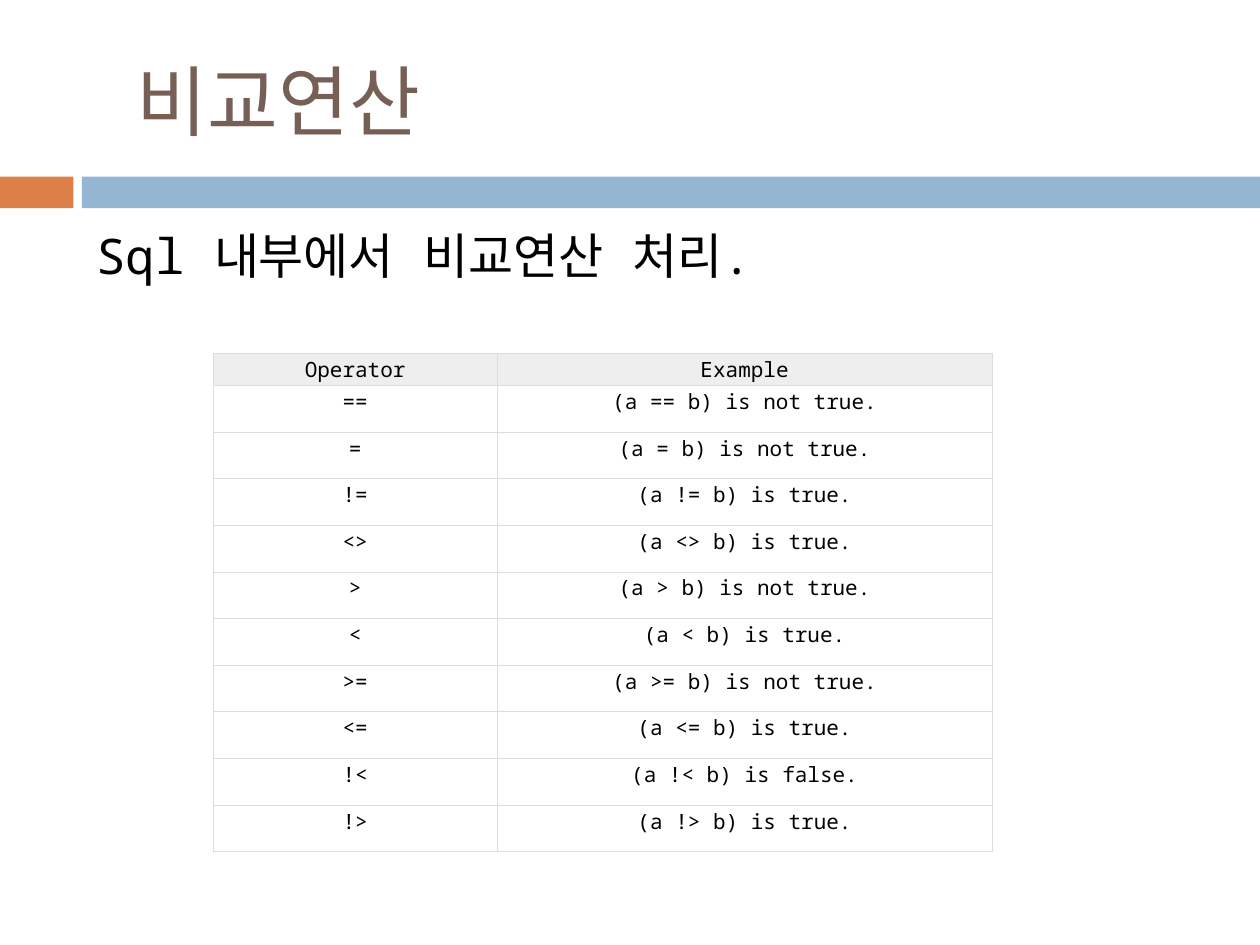
from lxml.etree import SubElement
from pptx import Presentation
from pptx.dml.color import RGBColor
from pptx.enum.shapes import MSO_SHAPE
from pptx.enum.text import MSO_ANCHOR, PP_ALIGN
from pptx.oxml.ns import qn
from pptx.util import Cm, Pt

FONT = "Noto Sans Mono"
ORANGE = RGBColor(0xDD, 0x80, 0x47)
BLUE = RGBColor(0x94, 0xB6, 0xD2)
BROWN = RGBColor(0x77, 0x5F, 0x55)
BLACK = RGBColor(0, 0, 0)
HEADER_GREY = RGBColor(0xEE, 0xEE, 0xEE)
BORDER_GREY = RGBColor(0xDD, 0xDD, 0xDD)

COMPARISONS = [
    ("==", "not true"),
    ("=", "not true"),
    ("!=", "true"),
    ("<>", "true"),
    (">", "not true"),
    ("<", "true"),
    (">=", "not true"),
    ("<=", "true"),
    ("!<", "false"),
    ("!>", "true"),
]


def set_formats(target, formats):
    for name, value in formats.items():
        setattr(target, name, value)


def write_text(frame, text, size, color, align=PP_ALIGN.LEFT):
    paragraph = frame.paragraphs[0]
    paragraph.alignment = align
    run = paragraph.add_run()
    run.text = text
    set_formats(run.font, {"name": FONT, "size": Pt(size)})
    run.font.color.rgb = color
    # Hangul takes its typeface from the East Asian font slot
    SubElement(run.font._element, qn("a:ea"), typeface=FONT)


def add_band(slide, left, width, color):
    band = slide.shapes.add_shape(
        MSO_SHAPE.RECTANGLE, Cm(left), Cm(3.56), Cm(width), Cm(0.64))
    band.shadow.inherit = False
    band.fill.solid()
    band.fill.fore_color.rgb = color
    band.line.fill.background()


def add_text(slide, place, text, size, color, formats):
    box = slide.shapes.add_textbox(*(Cm(length) for length in place))
    set_formats(box.text_frame, {"word_wrap": True, **formats})
    write_text(box.text_frame, text, size, color)


def add_borders(cell):
    properties = cell._tc.get_or_add_tcPr()
    for position, side in enumerate(("lnL", "lnR", "lnT", "lnB")):
        line = properties.makeelement(qn(f"a:{side}"), {"w": str(Pt(0.6))})
        fill = SubElement(line, qn("a:solidFill"))
        SubElement(fill, qn("a:srgbClr"), val=str(BORDER_GREY))
        properties.insert(position, line)


def fill_cell(cell, text, is_header):
    margins = ("margin_left", "margin_right", "margin_top", "margin_bottom")
    set_formats(cell, dict.fromkeys(margins, Cm(0.03)))
    write_text(cell.text_frame, text, 12, BLACK, PP_ALIGN.CENTER)
    if is_header:
        cell.fill.solid()
        cell.fill.fore_color.rgb = HEADER_GREY
    else:
        cell.fill.background()
    add_borders(cell)


def add_operator_table(slide):
    rows = [("Operator", "Example")]
    rows += [(sign, f"(a {sign} b) is {result}.") for sign, result in COMPARISONS]
    table = slide.shapes.add_table(
        len(rows), 2, Cm(4.3), Cm(7.12), Cm(15.7), Cm(10.05)).table
    set_formats(table, {"first_row": False, "horz_banding": False})
    for column, width in zip(table.columns, (5.72, 9.98)):
        column.width = Cm(width)
    for row_index, texts in enumerate(rows):
        is_header = row_index == 0
        table.rows[row_index].height = Cm(0.65 if is_header else 0.94)
        for column_index, text in enumerate(texts):
            fill_cell(table.cell(row_index, column_index), text, is_header)


def main():
    deck = Presentation()
    set_formats(deck, {"slide_width": Cm(25.4), "slide_height": Cm(19.05)})
    slide = deck.slides.add_slide(deck.slide_layouts[6])
    add_band(slide, 0, 1.48, ORANGE)
    add_band(slide, 1.65, 23.75, BLUE)
    add_text(slide, (1.7, 0.64, 22.66, 2.74), "비교연산", 44, BROWN,
             {"vertical_anchor": MSO_ANCHOR.MIDDLE, "margin_left": Cm(1.05)})
    add_text(slide, (1.7, 4.42, 22.2, 1.45), "Sql 내부에서 비교연산 처리.", 28, BLACK,
             {"vertical_anchor": MSO_ANCHOR.TOP})
    add_operator_table(slide)
    deck.save("out.pptx")


if __name__ == "__main__":
    main()
